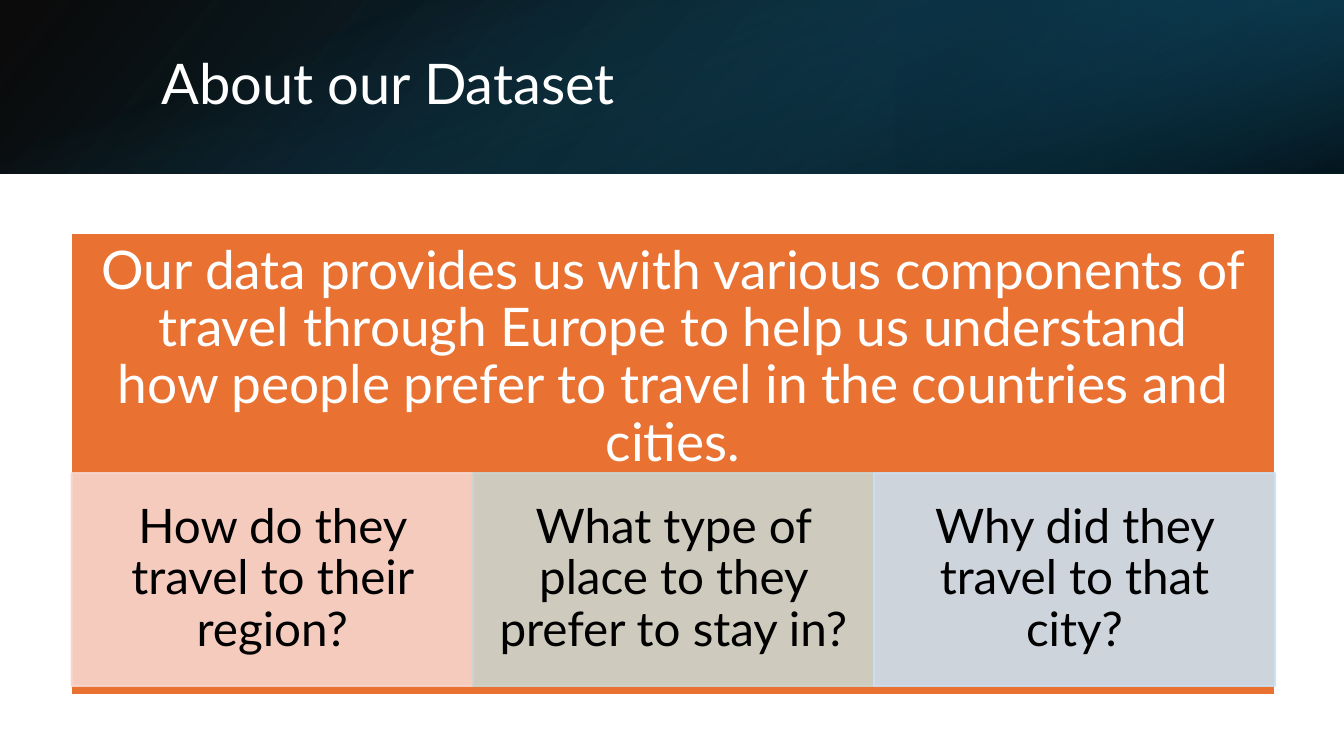
from lxml import etree
from pptx import Presentation
from pptx.dml.color import RGBColor
from pptx.enum.shapes import MSO_SHAPE
from pptx.enum.text import MSO_ANCHOR, MSO_AUTO_SIZE, PP_ALIGN
from pptx.oxml import parse_xml
from pptx.oxml.ns import qn
from pptx.util import Pt

RECTANGLE = MSO_SHAPE.RECTANGLE
MIDDLE = MSO_ANCHOR.MIDDLE
NO_AUTOFIT = MSO_AUTO_SIZE.NONE
LEFT, CENTER = PP_ALIGN.LEFT, PP_ALIGN.CENTER
DRAWING_NS = "http://schemas.openxmlformats.org/drawingml/2006/main"
COLORS = {
    "white": "FFFFFF", "black": "000000", "blue": "104862", "navy": "0B3041",
    "teal": "156082", "orange": "E97132", "pink": "F7D5CE",
    "sage": "CCD4CD", "sky": "CCDFEF",
}
FONT = "Lato"


def add_rectangle(left, top, width, height):
    rectangle = slide.shapes.add_shape(
        RECTANGLE, Pt(left), Pt(top), Pt(width), Pt(height))
    rectangle.shadow.inherit = False
    return rectangle


def write_text(shape, text, size, color, align, insets=(7.2, 3.6, 7.2, 3.6)):
    frame = shape.text_frame
    frame.text = text
    frame.word_wrap = True
    frame.auto_size = NO_AUTOFIT
    frame.vertical_anchor = MIDDLE
    (frame.margin_left, frame.margin_top,
     frame.margin_right, frame.margin_bottom) = [Pt(inset) for inset in insets]
    paragraph = frame.paragraphs[0]
    paragraph.alignment = align
    paragraph.line_spacing = 0.9
    paragraph.font.name = FONT
    paragraph.font.size = Pt(size)
    paragraph.font.color.rgb = RGBColor.from_string(COLORS[color])


presentation = Presentation()
presentation.slide_width, presentation.slide_height = Pt(960), Pt(540)
slide = presentation.slides.add_slide(presentation.slide_layouts[5])

# Header band: three translucent gradients; stops are (position, colour, alpha)
header_layers = [
    ((0, 0, 960, 124), 0, True, 140, [(0, "black", 96), (100, "blue", 100)]),
    ((640, 0, 320, 124), 180, True, 320, [(19, "navy", 68), (100, "teal", 79)]),
    ((418, -418, 124, 960), 90, False, 340, [(23, "teal", 0), (99, "black", 74)]),
]
for box, rotation, flipped, angle, stops in header_layers:
    layer = add_rectangle(*box)
    layer.rotation = rotation
    layer.line.fill.background()
    properties = layer._element.spPr
    if flipped:
        properties.find(qn("a:xfrm")).set("flipH", "1")
    stop_xml = "".join(
        f'<a:gs pos="{position * 1000}"><a:srgbClr val="{COLORS[color]}">'
        f'<a:alpha val="{alpha * 1000}"/></a:srgbClr></a:gs>'
        for position, color, alpha in stops)
    properties.find(qn("a:prstGeom")).addnext(parse_xml(
        f'<a:gradFill xmlns:a="{DRAWING_NS}" rotWithShape="1">'
        f'<a:gsLst>{stop_xml}</a:gsLst>'
        f'<a:lin ang="{angle * 60000}" scaled="0"/></a:gradFill>'))

# Title, brought in front of the header band
title = slide.shapes.title
title.left, title.top, title.width, title.height = Pt(108), Pt(27), Pt(791), Pt(69)
write_text(title, "About our Dataset", 40, "white", LEFT)
slide.shapes._spTree.append(title._element)

# Orange panel with the statement in its upper part
statement = add_rectangle(50.75, 166.5, 860.25, 330)
statement.fill.solid()
statement.fill.fore_color.rgb = RGBColor.from_string(COLORS["orange"])
statement.line.color.rgb = RGBColor.from_string(COLORS["white"])
statement.line.width = Pt(1.5)
write_text(
    statement,
    "Our data provides us with various components of travel through Europe "
    "to help us understand how people prefer to travel in the countries and cities.",
    38, "white", CENTER, (21.6, 7, 21.6, 158.5))

# Three question cards side by side
questions = [
    ("How do they travel to their region?", "pink"),
    ("What type of place to they prefer to stay in?", "sage"),
    ("Why did they travel to that city?", "sky"),
]
CARD_WIDTH = 286.5
for index, (question, color) in enumerate(questions):
    card = add_rectangle(51.25 + index * CARD_WIDTH, 338, CARD_WIDTH, 152)
    card.line.width = Pt(1.5)
    for fill in (card.fill, card.line.fill):
        fill.solid()
        fill.fore_color.rgb = RGBColor.from_string(COLORS[color])
    for tint in card._element.spPr.iter(qn("a:srgbClr")):
        etree.SubElement(tint, qn("a:alpha")).set("val", "90000")
    write_text(card, question, 34, "black", CENTER, (18.7, 3.6, 18.7, 3.6))

presentation.save("out.pptx")
